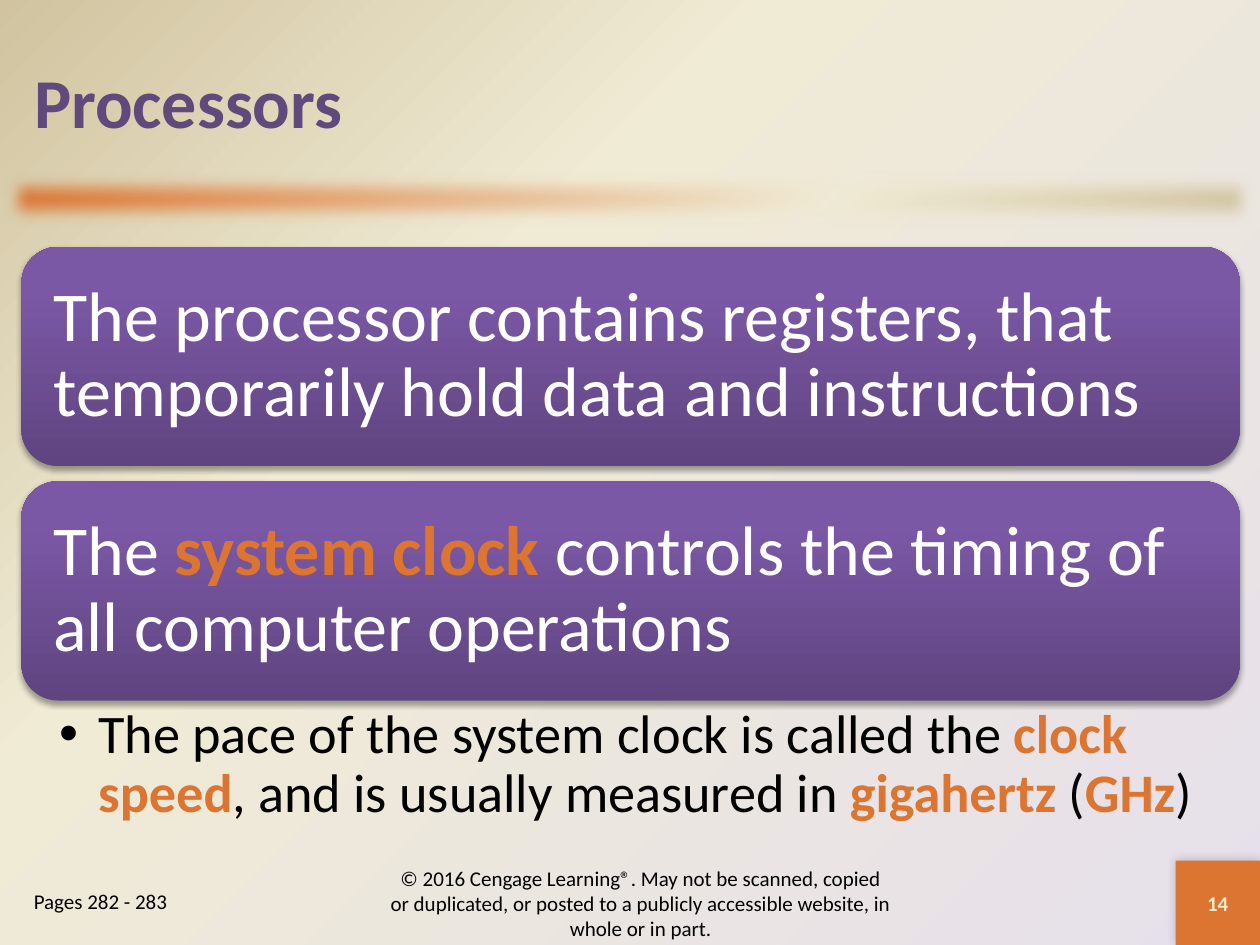
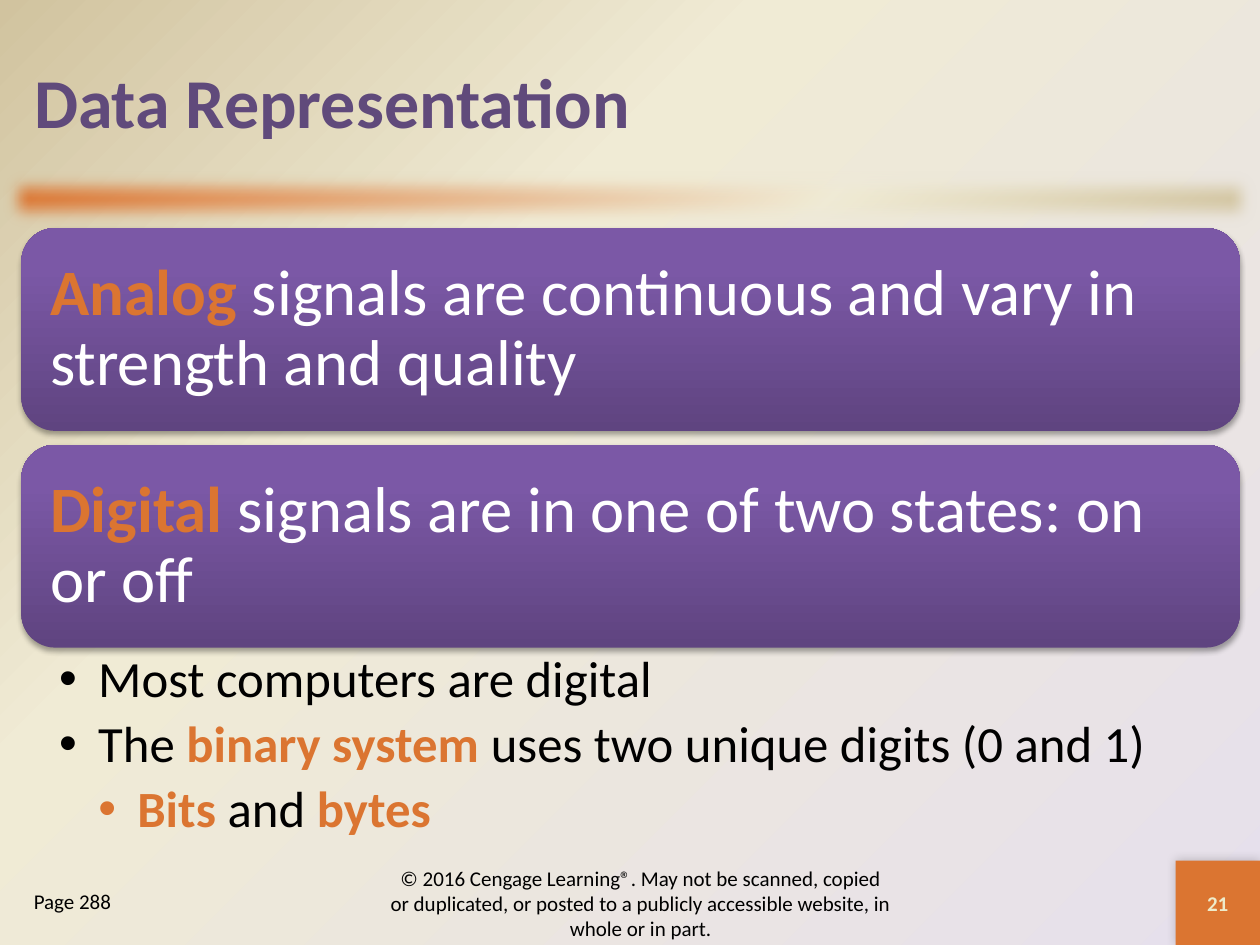
from lxml.etree import SubElement
from pptx import Presentation
from pptx.dml.color import RGBColor
from pptx.enum.shapes import MSO_SHAPE
from pptx.enum.text import MSO_ANCHOR, MSO_AUTO_SIZE, PP_ALIGN
from pptx.oxml import parse_xml
from pptx.oxml.ns import nsdecls, qn
from pptx.util import Inches, Pt

FONT = "Calibri"
COLORS = {
    "title": "604A7B", "accent": "DB7531", "cream": "F0EBD5", "sand": "D1C39F",
    "lilac": "E6E0EC", "dark": "5F4480", "mid": "7B58A6", "light": "7C57A8",
    "white": "FFFFFF", "black": "000000", "number": "EEEBCA",
}
NOTICE = ("© 2016 Cengage Learning®. May not be scanned, copied or duplicated, "
          "or posted to a publicly accessible website, in whole or in part.")
CORNER = ('<a:path path="circle">'
          '<a:fillToRect l="100000" t="100000" r="0" b="0"/></a:path>')
EDGE = 0.17
WIDTH = 9.67


def slant(angle):
    return f'<a:lin ang="{angle * 60000}" scaled="0"/>'


def grade(owner, fill, stops, course):
    """Fill the owner with a gradient of (percent, colour name) stops."""
    fill.solid()
    plain = next(owner.iter(qn("a:solidFill")))
    marks = "".join(f'<a:gs pos="{at * 1000}"><a:srgbClr val="{COLORS[name]}"/></a:gs>'
                    for at, name in stops)
    blend = parse_xml(f'<a:gradFill {nsdecls("a")} rotWithShape="1">'
                      f'<a:gsLst>{marks}</a:gsLst>{course}</a:gradFill>')
    plain.getparent().replace(plain, blend)


def effect(shape, tag, **values):
    effects = next(shape._element.iter(qn("a:effectLst")))
    return SubElement(effects, qn(tag), {key: str(val) for key, val in values.items()})


def shade(shape, alpha, blur, dist, angle):
    shadow = effect(shape, "a:outerShdw", blurRad=Pt(blur), dist=Pt(dist),
                    dir=angle * 60000, algn="ctr", rotWithShape=0)
    color = SubElement(shadow, qn("a:srgbClr"), val=COLORS["black"])
    SubElement(color, qn("a:alpha"), val=str(alpha * 1000))


class Deck:
    def __init__(self):
        self.prs = Presentation()
        self.prs.slide_width = Inches(10)
        self.prs.slide_height = Inches(7.5)
        self.slide = None
        master = self.prs.slide_master
        grade(master._element, master.background.fill,
              [(0, "lilac"), (65, "cream"), (100, "sand")], CORNER)

    def start(self, title, pages, number):
        """Open a slide with its title, band and footer."""
        self.slide = self.prs.slides.add_slide(self.prs.slide_layouts[5])
        self.band()
        self.title(title)
        self.label(NOTICE, 3, 6.92, 4.17, PP_ALIGN.CENTER, MSO_ANCHOR.MIDDLE)
        self.label(pages, EDGE, 7, 1.83)
        self.badge(number)

    def title(self, text):
        box = self.slide.shapes.title
        box.left, box.top = Inches(EDGE), Inches(EDGE)
        box.width, box.height = Inches(WIDTH), Inches(1.25)
        self.frame(box, MSO_ANCHOR.MIDDLE)
        self.ink(box.text_frame.paragraphs[0], text, 40, "title", bold=True)

    def shape(self, kind, left, top, width, height):
        shape = self.slide.shapes.add_shape(
            kind, Inches(left), Inches(top), Inches(width), Inches(height))
        shape.shadow.inherit = False
        shape.line.fill.background()
        return shape

    def band(self):
        band = self.shape(MSO_SHAPE.RECTANGLE, 0, 1.33, 10, 0.5)
        grade(band._element, band.fill,
              [(0, "accent"), (65, "cream"), (100, "sand")], slant(45))
        effect(band, "a:softEdge", rad=Pt(10))

    def badge(self, number):
        side = 0.67
        badge = self.shape(MSO_SHAPE.RECTANGLE, 10 - side, 7.5 - side, side, side)
        badge.fill.solid()
        badge.fill.fore_color.rgb = RGBColor.from_string(COLORS["accent"])
        shade(badge, 20, 6, 0, 225)
        self.frame(badge, MSO_ANCHOR.MIDDLE)
        self.ink(badge.text_frame.paragraphs[0], number, 12, "number",
                 PP_ALIGN.CENTER, bold=True)

    def card(self, text, top, height, size, inset):
        card = self.shape(MSO_SHAPE.ROUNDED_RECTANGLE, EDGE, top, WIDTH, height)
        grade(card._element, card.fill,
              [(0, "dark"), (80, "mid"), (100, "light")], slant(270))
        shade(card, 35, 3.1, 1.8, 90)
        self.frame(card, MSO_ANCHOR.MIDDLE, inset, inset)
        para = card.text_frame.paragraphs[0]
        para.line_spacing = 0.9
        self.ink(para, text, size, "white")

    def stack(self, texts, top, height, gap, size, inset):
        for row, text in enumerate(texts):
            self.card(text, top + row * (height + gap), height, size, inset)

    def box(self, left, top, width, height):
        return self.slide.shapes.add_textbox(
            Inches(left), Inches(top), Inches(width), Inches(height))

    def label(self, text, left, top, width, align=PP_ALIGN.LEFT, anchor=MSO_ANCHOR.TOP):
        box = self.box(left, top, width, 0.5)
        self.frame(box, anchor)
        self.ink(box.text_frame.paragraphs[0], text, 12, "black", align)

    def points(self, items, top, height, size):
        """Add a bullet list of (level, text) items."""
        box = self.box(EDGE, top, WIDTH, height)
        self.frame(box, MSO_ANCHOR.TOP, 0.3, 0.05)
        frame = box.text_frame
        for row, (level, text) in enumerate(items):
            para = frame.add_paragraph() if row else frame.paragraphs[0]
            props = para._p.get_or_add_pPr()
            props.set("marL", str(Inches(0.31 * level)))
            props.set("indent", str(Inches(-0.31)))
            SubElement(props, qn("a:buFont"), typeface="Arial")
            SubElement(props, qn("a:buChar"), char="•")
            para.level = level
            para.line_spacing = 0.9
            para.space_after = Pt(0.2 * size)
            self.ink(para, text, size, "black")

    def frame(self, shape, anchor, side=0.1, edge=0.05):
        frame = shape.text_frame
        frame.auto_size = MSO_AUTO_SIZE.NONE
        frame.word_wrap = True
        frame.vertical_anchor = anchor
        frame.margin_left = frame.margin_right = Inches(side)
        frame.margin_top = frame.margin_bottom = Inches(edge)

    def ink(self, para, text, size, color, align=PP_ALIGN.LEFT, bold=False):
        """Set text whose *starred* parts are bold and in the accent colour."""
        para.alignment = align
        for turn, part in enumerate(text.split("*")):
            if not part:
                continue
            key = turn % 2 == 1
            run = para.add_run()
            run.text = part
            font = run.font
            font.name, font.size, font.bold = FONT, Pt(size), bold or key
            font.color.rgb = RGBColor.from_string(COLORS["accent" if key else color])


def main():
    deck = Deck()

    deck.start("Processors", "Pages 282 - 283", "14")
    deck.stack([
        "The processor contains registers, that temporarily hold data and instructions",
        "The *system clock *controls the timing of all computer operations",
    ], 1.96, 1.74, 0.12, 40, 0.17)
    deck.points([
        (1, "The pace of the system clock is called the *clock speed*, "
            "and is usually measured in *gigahertz *(*GHz*)"),
    ], 5.56, 1.06, 31)

    deck.start("Data Representation", "Page 288", "21")
    deck.stack([
        "*Analog *signals are continuous and vary in strength and quality",
        "*Digital *signals are in one of two states: on or off",
    ], 1.81, 1.61, 0.11, 37, 0.15)
    deck.points([
        (1, "Most computers are digital"),
        (1, "The *binary system *uses two unique digits (0 and 1)"),
        (2, "*Bits *and *bytes*"),
    ], 5.14, 1.63, 29)

    deck.prs.save("out.pptx")


if __name__ == "__main__":
    main()
